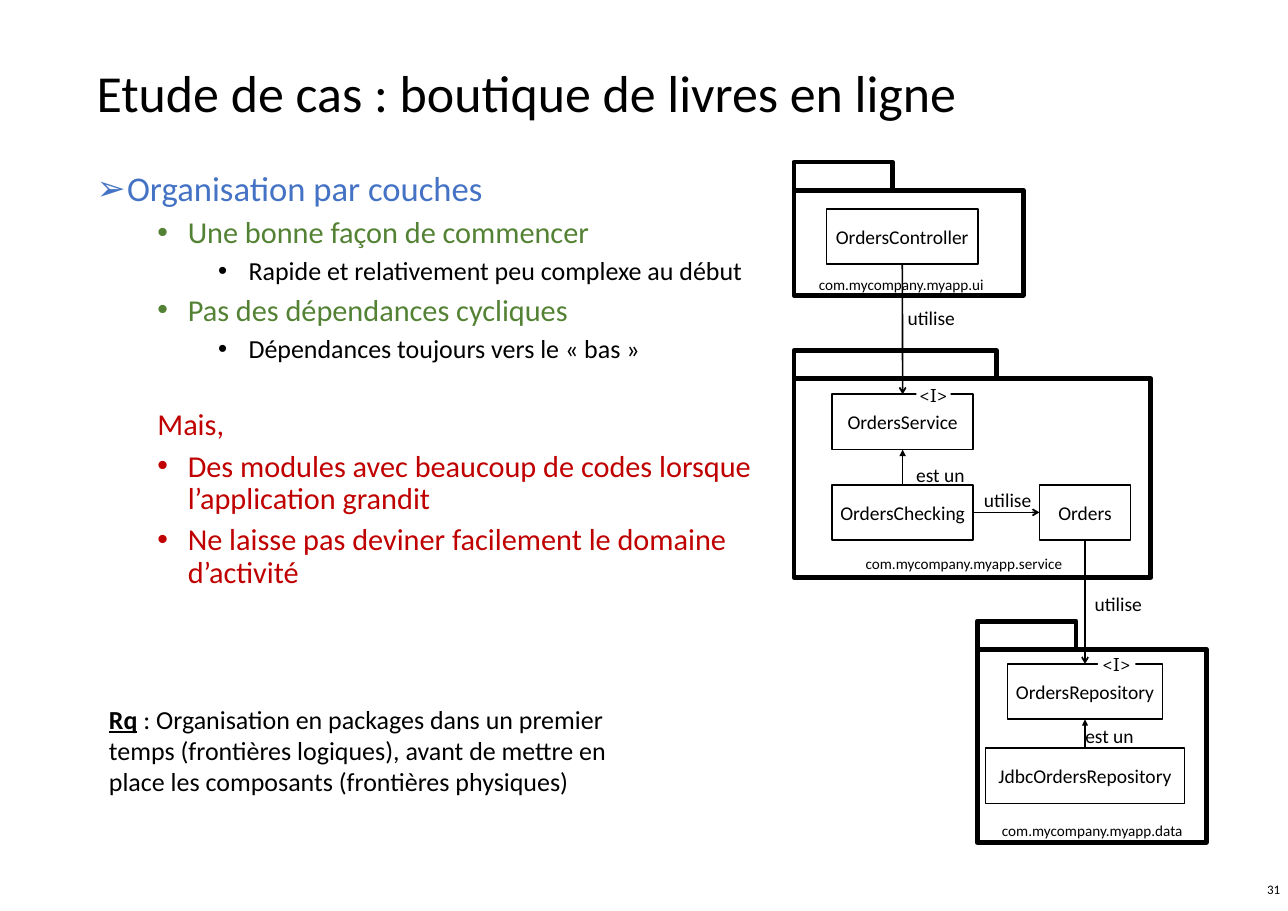
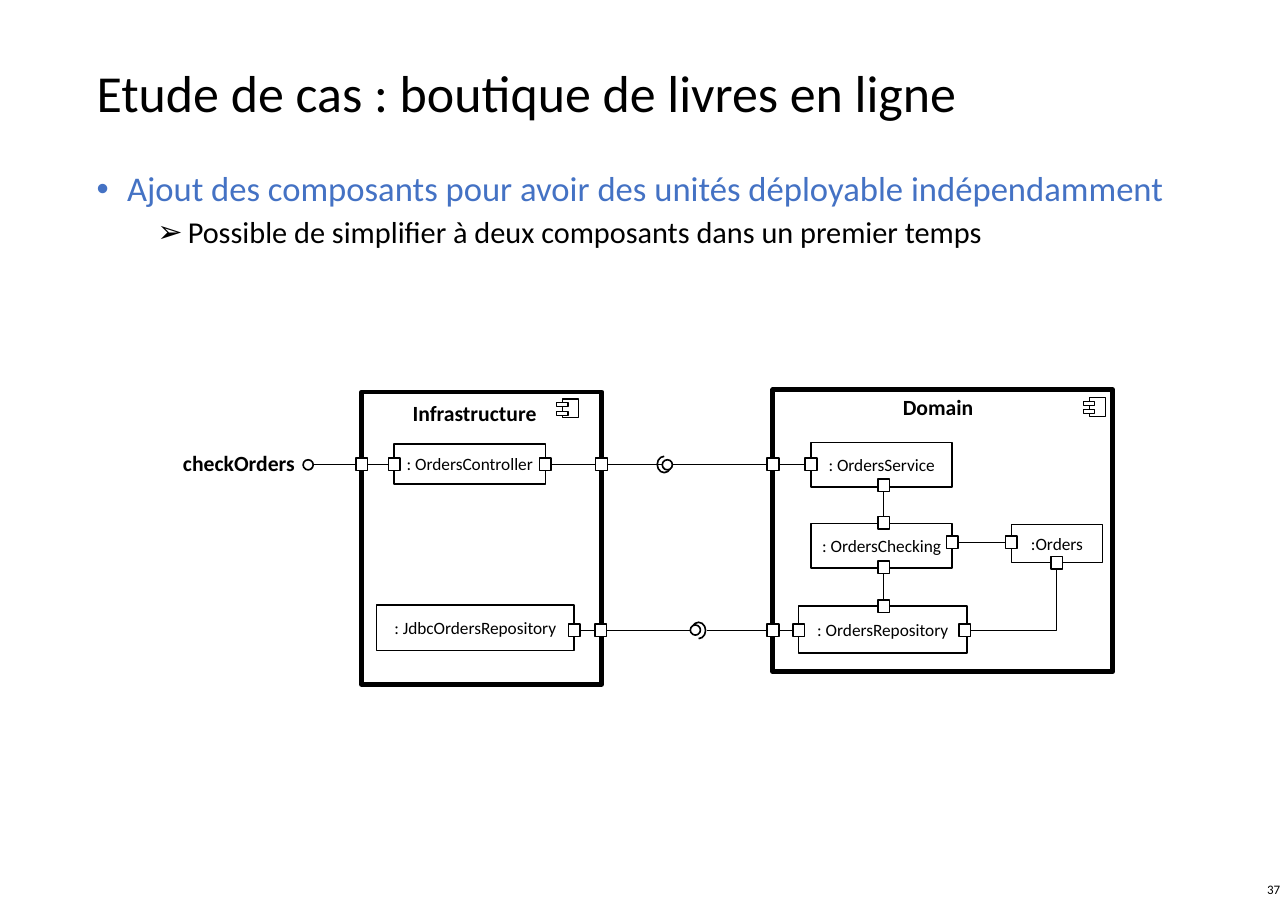
from lxml import etree
from pptx import Presentation
from pptx.dml.color import RGBColor
from pptx.enum.shapes import MSO_CONNECTOR, MSO_SHAPE
from pptx.enum.text import MSO_ANCHOR, MSO_AUTO_SIZE, PP_ALIGN
from pptx.oxml.ns import qn
from pptx.util import Inches, Pt

RECTANGLE, PROCESS = MSO_SHAPE.RECTANGLE, MSO_SHAPE.FLOWCHART_PROCESS
OVAL, ARC = MSO_SHAPE.OVAL, MSO_SHAPE.ARC
STRAIGHT, ELBOW = MSO_CONNECTOR.STRAIGHT, MSO_CONNECTOR.ELBOW
LEFT, CENTER, RIGHT = PP_ALIGN.LEFT, PP_ALIGN.CENTER, PP_ALIGN.RIGHT
MIDDLE, NO_FIT = MSO_ANCHOR.MIDDLE, MSO_AUTO_SIZE.NONE
TOP_SIDE, LEFT_SIDE, BOTTOM_SIDE, RIGHT_SIDE = range(4)

FONT = "Calibri"
COLORS = {"black": "000000", "white": "FFFFFF", "blue": "4472C4",
          "green": "548235", "red": "C00000"}
COLORS = {name: RGBColor.from_string(value) for name, value in COLORS.items()}
LEVEL_SIZES = [32, 28, 24]
INDENT = 0.39
FRAME_WEIGHT = 4.5


def add_box(slide, kind, left, top, width, height, weight=1.5, filled=True,
            text="", size=18, font=FONT):
    """Black outlined shape with centred text; weight 0 means no outline."""
    shape = slide.shapes.add_shape(
        kind, Inches(left), Inches(top), Inches(width), Inches(height))
    shape.shadow.inherit = False
    if filled:
        shape.fill.solid()
        shape.fill.fore_color.rgb = COLORS["white"]
    else:
        shape.fill.background()
    if weight:
        shape.line.color.rgb = COLORS["black"]
        shape.line.width = Pt(weight)
    else:
        shape.line.fill.background()
    if text:
        frame = shape.text_frame
        frame.text = text
        frame.word_wrap = False
        frame.vertical_anchor = MIDDLE
        frame.paragraphs[0].alignment = CENTER
        run_font = frame.paragraphs[0].runs[0].font
        run_font.name, run_font.size = font, Pt(size)
        run_font.color.rgb = COLORS["black"]
    return shape


def add_line(slide, start, end, arrow=None, kind=STRAIGHT):
    """Connector whose ends are each (x, y) in inches or (shape, side)."""
    connector = slide.shapes.add_connector(kind, 0, 0, 0, 0)
    if isinstance(start[0], float):
        connector.begin_x, connector.begin_y = map(Inches, start)
    else:
        connector.begin_connect(*start)
    if isinstance(end[0], float):
        connector.end_x, connector.end_y = map(Inches, end)
    else:
        connector.end_connect(*end)
    connector.line.color.rgb = COLORS["black"]
    connector.line.width = Pt(1.5)
    properties = connector._element.spPr
    if arrow:
        etree.SubElement(properties.find(qn("a:ln")), qn("a:tailEnd"), type=arrow)
    if kind == ELBOW:
        properties.find(qn("a:prstGeom")).set("prst", "bentConnector2")
    etree.SubElement(properties, qn("a:effectLst"))


presentation = Presentation()
presentation.slide_width, presentation.slide_height = Inches(16.53), Inches(11.69)

# Titles, lists and page numbers: (level, bullet, colour, space before, text)
pages = [
    ("31", 9.34, [
        (0, "➢", "blue", 15.6, "Organisation par couches"),
        (1, "•", "green", 7.8, "Une bonne façon de commencer"),
        (2, "•", "black", 7.8, "Rapide et relativement peu complexe au début"),
        (1, "•", "green", 7.8, "Pas des dépendances cycliques"),
        (2, "•", "black", 7.8, "Dépendances toujours vers le « bas »"),
        (1, None, "red", 42, "Mais,"),
        (1, "•", "red", 7.8,
         "Des modules avec beaucoup de codes lorsque l’application grandit"),
        (1, "•", "red", 7.8,
         "Ne laisse pas deviner facilement le domaine d’activité"),
    ]),
    ("37", 14.26, [
        (0, "•", "blue", 15.6,
         "Ajout des composants pour avoir des unités déployable indépendamment"),
        (1, "➢", "black", 7.8,
         "Possible de simplifier à deux composants dans un premier temps"),
    ]),
]
for number, body_width, items in pages:
    slide = presentation.slides.add_slide(presentation.slide_layouts[1])
    title, body = slide.placeholders
    title.left, title.top = Inches(1.14), Inches(0.62)
    title.width, title.height = Inches(14.26), Inches(1.22)
    title.text_frame.text = "Etude de cas : boutique de livres en ligne"
    title.text_frame.vertical_anchor = MIDDLE
    paragraph = title.text_frame.paragraphs[0]
    paragraph.alignment, paragraph.line_spacing = LEFT, 0.9
    title_font = paragraph.runs[0].font
    title_font.name, title_font.size = FONT, Pt(48)
    title_font.color.rgb = COLORS["black"]

    body.left, body.top = Inches(1.14), Inches(2.15)
    body.width, body.height = Inches(body_width), Inches(8.5)
    body.text_frame.text = "\n".join(item[-1] for item in items)
    body.text_frame.auto_size = NO_FIT
    for paragraph, (level, bullet, color, space, _) in zip(
            body.text_frame.paragraphs, items):
        paragraph.level = level
        paragraph.line_spacing, paragraph.space_before = 0.9, Pt(space)
        item_font = paragraph.runs[0].font
        item_font.name, item_font.size = FONT, Pt(LEVEL_SIZES[level])
        item_font.color.rgb = COLORS[color]
        hanging = INDENT if bullet else 0
        properties = paragraph._p.get_or_add_pPr()
        properties.set("marL", str(Inches(2 * INDENT * level + hanging)))
        properties.set("indent", str(Inches(-hanging)))
        if bullet:
            etree.SubElement(properties, qn("a:buFont"), typeface="Arial")
            etree.SubElement(properties, qn("a:buChar"), char=bullet)
        else:
            etree.SubElement(properties, qn("a:buNone"))

    page_number = slide.shapes.add_textbox(
        Inches(12.81), Inches(11.1), Inches(3.72), Inches(0.62))
    page_number.text_frame.text = number
    page_number.text_frame.vertical_anchor = MIDDLE
    page_number.text_frame.paragraphs[0].alignment = RIGHT
    number_font = page_number.text_frame.paragraphs[0].runs[0].font
    number_font.name, number_font.size = FONT, Pt(12)

layers_slide, components_slide = presentation.slides

# Layers: packages with a tab above the body
for left, top, width, height, tab_width in [
        (10.19, 2.44, 2.94, 1.35, 1.26),
        (10.19, 4.86, 4.58, 2.55, 2.6),
        (12.54, 8.33, 2.94, 2.48, 1.27)]:
    add_box(layers_slide, PROCESS, left, top, width, height, FRAME_WEIGHT, False)
    add_box(layers_slide, PROCESS, left, top - 0.36, tab_width, 0.36,
            FRAME_WEIGHT, False)

# Layers: classes and their relations
classes = {}
for name, left, top, width in [
        ("OrdersController", 10.61, 2.68, 1.94),
        ("OrdersService", 10.68, 5.06, 1.81),
        ("OrdersChecking", 10.68, 6.22, 1.81),
        ("Orders", 13.34, 6.22, 1.17),
        ("OrdersRepository", 12.93, 8.52, 1.99),
        ("JdbcOrdersRepository", 12.65, 9.6, 2.55)]:
    classes[name] = add_box(layers_slide, RECTANGLE, left, top, width, 0.71, text=name)
for start, start_side, end, end_side, arrow in [
        ("OrdersController", BOTTOM_SIDE, "OrdersService", TOP_SIDE, "arrow"),
        ("OrdersChecking", TOP_SIDE, "OrdersService", BOTTOM_SIDE, "triangle"),
        ("OrdersChecking", RIGHT_SIDE, "Orders", LEFT_SIDE, "arrow"),
        ("Orders", BOTTOM_SIDE, "OrdersRepository", TOP_SIDE, "arrow"),
        ("JdbcOrdersRepository", TOP_SIDE, "OrdersRepository", BOTTOM_SIDE, "triangle")]:
    add_line(layers_slide, (classes[start], start_side), (classes[end], end_side), arrow)
for left, top, width in [(11.76, 4.91, 0.44), (14.09, 8.37, 0.48)]:
    add_box(layers_slide, RECTANGLE, left, top, width, 0.3, 0, text="<I>", font="Cambria")

# Components: frames with an icon in the corner
for left, top, width, height, icon_left, icon_top in [
        (4.64, 5.03, 3.08, 3.75, 7.14, 5.12),
        (9.92, 5, 4.36, 3.62, 13.9, 5.1)]:
    add_box(components_slide, PROCESS, left, top, width, height, FRAME_WEIGHT, False)
    add_box(components_slide, RECTANGLE, icon_left + 0.08, icon_top, 0.21, 0.24, 1)
    for offset in (0.05, 0.16):
        add_box(components_slide, RECTANGLE, icon_left, icon_top + offset, 0.15, 0.05, 1)

# Components: parts
for text, left, top, width, height in [
        (": OrdersController", 5.06, 5.7, 1.94, 0.51),
        (": JdbcOrdersRepository", 4.83, 7.76, 2.54, 0.59),
        (": OrdersService", 10.41, 5.68, 1.81, 0.57),
        (": OrdersChecking", 10.41, 6.72, 1.81, 0.57),
        (":Orders", 12.98, 6.73, 1.17, 0.49),
        (": OrdersRepository", 10.25, 7.78, 2.16, 0.6)]:
    add_box(components_slide, RECTANGLE, left, top, width, height, text=text, size=16)

# Components: ports, given by their centres
PORT_WIDTH, PORT_HEIGHT = 0.15, 0.16
ports = {}
for name, x, y in [
        ("infrastructure in", 4.64, 5.96), ("controller in", 5.06, 5.96),
        ("controller out", 7, 5.96), ("infrastructure out", 7.72, 5.96),
        ("jdbc out", 7.37, 8.09), ("infrastructure data", 7.71, 8.09),
        ("domain in", 9.92, 5.96), ("service in", 10.41, 5.96),
        ("service out", 11.34, 6.23), ("checking in", 11.34, 6.71),
        ("checking out", 11.34, 7.28), ("repository in", 11.34, 7.78),
        ("checking orders", 12.22, 6.96), ("orders in", 12.98, 6.96),
        ("orders out", 13.56, 7.22), ("repository orders", 12.38, 8.09),
        ("domain data", 9.92, 8.09), ("repository data", 10.25, 8.09)]:
    ports[name] = add_box(components_slide, RECTANGLE, x - PORT_WIDTH / 2,
                          y - PORT_HEIGHT / 2, PORT_WIDTH, PORT_HEIGHT)

# Components: links between ports
for start, start_side, end, end_side, kind in [
        ("infrastructure in", RIGHT_SIDE, "controller in", LEFT_SIDE, STRAIGHT),
        ("controller out", RIGHT_SIDE, "infrastructure out", LEFT_SIDE, STRAIGHT),
        ("jdbc out", RIGHT_SIDE, "infrastructure data", LEFT_SIDE, STRAIGHT),
        ("domain in", RIGHT_SIDE, "service in", LEFT_SIDE, STRAIGHT),
        ("domain data", RIGHT_SIDE, "repository data", LEFT_SIDE, STRAIGHT),
        ("service out", BOTTOM_SIDE, "checking in", TOP_SIDE, STRAIGHT),
        ("checking out", BOTTOM_SIDE, "repository in", TOP_SIDE, STRAIGHT),
        ("checking orders", RIGHT_SIDE, "orders in", LEFT_SIDE, STRAIGHT),
        ("repository orders", RIGHT_SIDE, "orders out", BOTTOM_SIDE, ELBOW)]:
    add_line(components_slide, (ports[start], start_side), (ports[end], end_side),
             kind=kind)

# Components: provided and required interfaces
for name, side, x, y in [
        ("infrastructure in", LEFT_SIDE, 4.02, 5.96),
        ("infrastructure out", RIGHT_SIDE, 8.57, 5.96),
        ("domain in", LEFT_SIDE, 8.63, 5.96),
        ("infrastructure data", RIGHT_SIDE, 8.86, 8.09),
        ("domain data", LEFT_SIDE, 9.07, 8.09)]:
    add_line(components_slide, (ports[name], side), (x, y))
for left, top, rotation in [(8.42, 5.87, 270), (8.86, 8, 90)]:
    socket = add_box(components_slide, ARC, left, top, 0.21, 0.18, filled=False)
    socket.adjustments[0], socket.adjustments[1] = 67.53, 0
    socket.rotation = rotation
for left, top in [(3.89, 5.9), (8.5, 5.9), (8.86, 8.02)]:
    add_box(components_slide, OVAL, left, top, 0.13, 0.13)

# Labels of both diagrams
for slide, text, left, top, width, size, bold, alignment in [
        (layers_slide, "utilise", 11.55, 3.88, 0.82, 18, False, LEFT),
        (layers_slide, "est un", 11.66, 5.89, 0.83, 18, False, LEFT),
        (layers_slide, "utilise", 12.53, 6.21, 0.82, 18, False, LEFT),
        (layers_slide, "utilise", 13.95, 7.55, 0.82, 18, False, LEFT),
        (layers_slide, "est un", 13.83, 9.24, 0.83, 18, False, LEFT),
        (layers_slide, "com.mycompany.myapp.ui", 10.41, 3.48, 2.33, 14, False, LEFT),
        (layers_slide, "com.mycompany.myapp.service", 11.01, 7.07, 2.74, 14, False, LEFT),
        (layers_slide, "com.mycompany.myapp.data", 12.76, 10.49, 2.54, 14, False, LEFT),
        (components_slide, "Infrastructure", 4.62, 5.08, 2.94, 20, True, CENTER),
        (components_slide, "Domain", 9.81, 5, 4.46, 20, True, CENTER),
        (components_slide, "checkOrders", 2.25, 5.73, 1.65, 20, True, LEFT)]:
    label = slide.shapes.add_textbox(
        Inches(left), Inches(top), Inches(width), Inches(0.4))
    label.text_frame.text = text
    label.text_frame.word_wrap = alignment == CENTER
    paragraph = label.text_frame.paragraphs[0]
    paragraph.alignment = alignment
    label_font = paragraph.runs[0].font
    label_font.name, label_font.size, label_font.bold = FONT, Pt(size), bold

# Layers: remark
remark = layers_slide.shapes.add_textbox(
    Inches(1.3), Inches(8.98), Inches(7), Inches(1.31))
remark.text_frame.word_wrap = True
paragraph = remark.text_frame.paragraphs[0]
for text, marked in [
        ("Rq", True),
        (" : Organisation en packages dans un premier temps (frontières logiques), "
         "avant de mettre en place les composants (frontières physiques)", False)]:
    run = paragraph.add_run()
    run.text = text
    run.font.name, run.font.size = FONT, Pt(24)
    run.font.bold = run.font.underline = marked

presentation.save("out.pptx")
